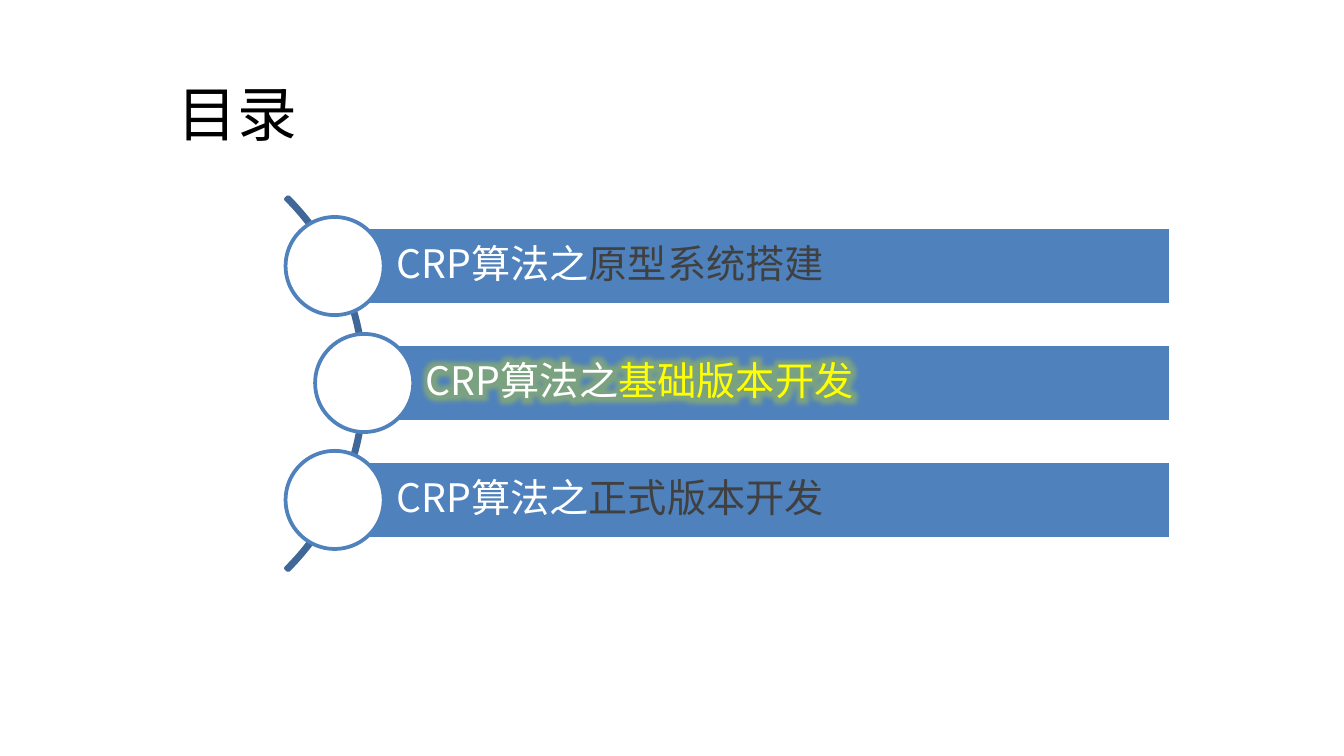
import pptx
import pptx.dml.color
import pptx.enum.shapes
import pptx.enum.text
import pptx.oxml
import pptx.oxml.ns
import pptx.util

Inches = pptx.util.Inches
Pt = pptx.util.Pt
MSO_SHAPE = pptx.enum.shapes.MSO_SHAPE
MSO_ANCHOR = pptx.enum.text.MSO_ANCHOR
PP_ALIGN = pptx.enum.text.PP_ALIGN

FONT = "Noto Sans CJK SC"
BLUE, WHITE, GREY, YELLOW = "4F81BD", "FFFFFF", "404040", "FFFF00"
PREFIX = "CRP算法之"
# topic, topic colour, left edge of the bar, glowing
ITEMS = [
    ("原型系统搭建", GREY, 2.49, False),
    ("基础版本开发", YELLOW, 2.71, True),
    ("正式版本开发", GREY, 2.49, False),
]
FIRST_TOP, PITCH = 1.69, 0.87
BAR_RIGHT, BAR_HEIGHT, CIRCLE = 8.71, 0.58, 0.73


def rgb(value):
    return pptx.dml.color.RGBColor.from_string(value)


def format_run(r, size, color):
    r.font.size = Pt(size)
    r.font.color.rgb = rgb(color)
    r.font.name = FONT
    ea = pptx.oxml.parse_xml(
        f'<a:ea {pptx.oxml.ns.nsdecls("a")} typeface="{FONT}"/>')
    r.font._element.find(pptx.oxml.ns.qn("a:latin")).addnext(ea)


def add_glow(r):
    glow = pptx.oxml.parse_xml(
        f'<a:effectLst {pptx.oxml.ns.nsdecls("a")}><a:glow rad="228600">'
        '<a:srgbClr val="9BBB59"><a:alpha val="60000"/></a:srgbClr>'
        '</a:glow></a:effectLst>')
    r.font._element.find(pptx.oxml.ns.qn("a:solidFill")).addnext(glow)


def add_shape(s, kind, left, top, width, height, fill, line):
    sp = s.shapes.add_shape(kind, Inches(left), Inches(top),
                            Inches(width), Inches(height))
    sp.shadow.inherit = False
    if fill:
        sp.fill.solid()
        sp.fill.fore_color.rgb = rgb(fill)
    else:
        sp.fill.background()
    sp.line.color.rgb = rgb(line)
    sp.line.width = Pt(2)
    return sp


def add_title(s, text):
    sp = s.shapes.title
    sp.left, sp.top = Inches(1.22), Inches(0.37)
    sp.width, sp.height = Inches(7.24), Inches(0.94)
    tf = sp.text_frame
    tf.text = text
    tf.vertical_anchor = MSO_ANCHOR.MIDDLE
    p = tf.paragraphs[0]
    p.alignment = PP_ALIGN.LEFT
    format_run(p.runs[0], 32, "000000")


def add_arc(s):
    sp = add_shape(s, MSO_SHAPE.BLOCK_ARC, -1.21, 0.89, 3.93, 3.93,
                   None, "3F6797")
    for i, value in enumerate((189, 27, 0.006)):
        sp.adjustments[i] = value


def add_item(s, top, topic, color, left, glowing):
    """Add a labelled bar with a circle centred on its left edge."""
    bar = add_shape(s, MSO_SHAPE.RECTANGLE, left, top, BAR_RIGHT - left,
                    BAR_HEIGHT, BLUE, WHITE)
    tf = bar.text_frame
    tf.word_wrap = True
    tf.vertical_anchor = MSO_ANCHOR.MIDDLE
    tf.margin_left = Inches(0.46)
    tf.margin_top = tf.margin_right = tf.margin_bottom = Inches(0.06)
    p = tf.paragraphs[0]
    p.alignment = PP_ALIGN.LEFT
    p.line_spacing = 0.9
    p.space_after = Pt(7.35)
    for text, run_color in ((PREFIX, WHITE), (topic, color)):
        r = p.add_run()
        r.text = text
        format_run(r, 21, run_color)
        if glowing:
            add_glow(r)
    add_shape(s, MSO_SHAPE.OVAL, left - CIRCLE / 2,
              top + (BAR_HEIGHT - CIRCLE) / 2, CIRCLE, CIRCLE, WHITE, BLUE)


def main():
    prs = pptx.Presentation()
    prs.slide_width = Inches(10)
    prs.slide_height = prs.slide_width * 9 // 16
    s = prs.slides.add_slide(prs.slide_layouts[5])
    add_title(s, "目录")
    add_arc(s)
    for i, item in enumerate(ITEMS):
        add_item(s, FIRST_TOP + i * PITCH, *item)
    prs.save("out.pptx")


if __name__ == "__main__":
    main()
